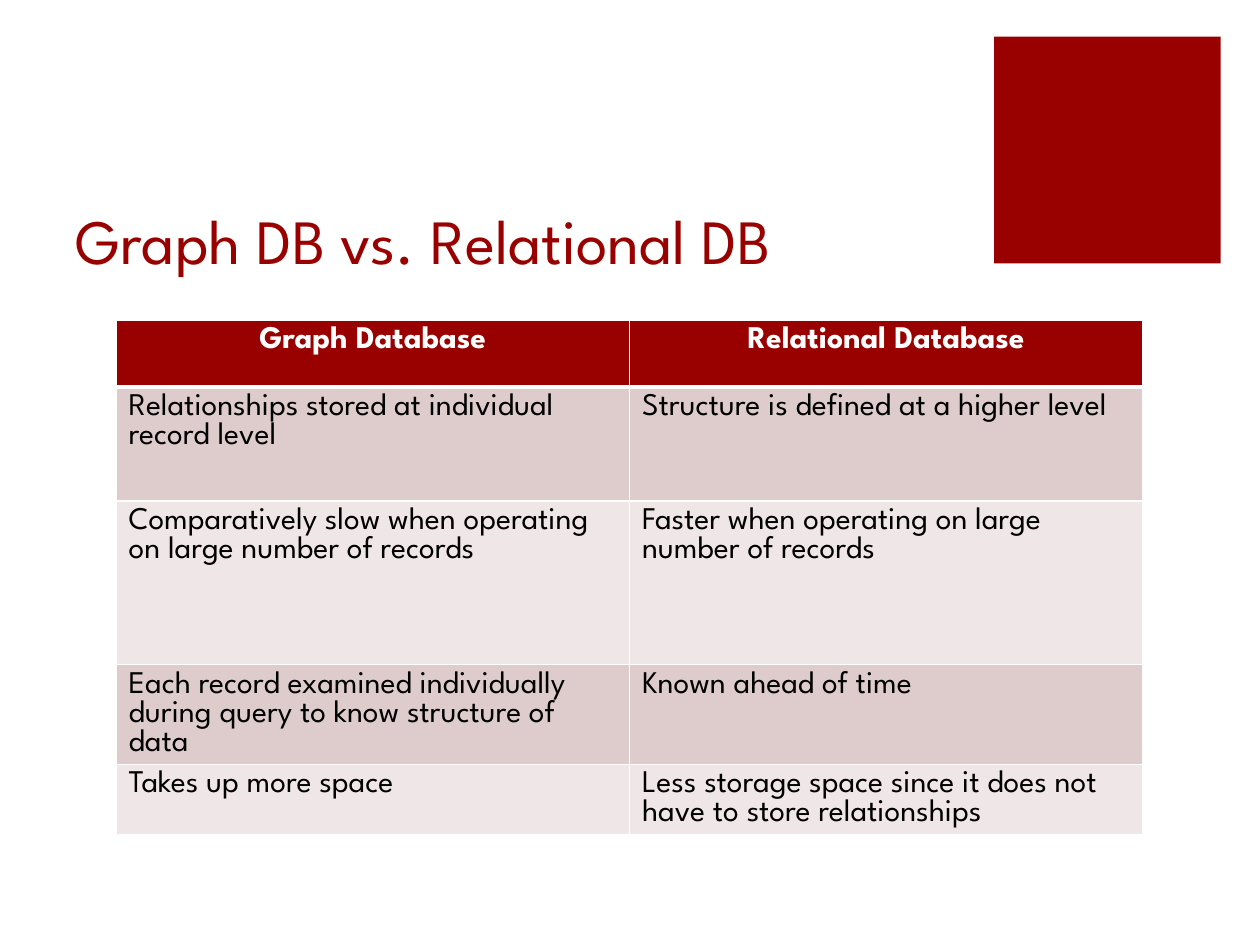
from lxml import etree
from pptx import Presentation
from pptx import util as u
from pptx.dml import color
from pptx.enum import shapes, text
from pptx.oxml import ns
from dataclasses import dataclass


@dataclass
class Theme:
    font: str = "League Spartan"
    red: str = "990000"
    white: str = "FFFFFF"
    black: str = "000000"
    bands: tuple = ("DECCCC", "EFE7E7")
    head: int = 36
    body: int = 18


def write(frame, words, size, tint, bold=False, align=text.PP_ALIGN.LEFT):
    para = frame.paragraphs[0]
    para.alignment = align
    run = para.add_run()
    run.text = words
    run.font.name = theme.font
    run.font.size = u.Pt(size)
    run.font.bold = bold
    run.font.color.rgb = color.RGBColor.from_string(tint)


def edge(cell, widths):
    props = cell._tc.get_or_add_tcPr()
    for spot, (side, width) in enumerate(widths.items()):
        line = etree.Element(ns.qn(f"a:ln{side}"), w=str(u.Pt(width)))
        fill = etree.SubElement(line, ns.qn("a:solidFill"))
        etree.SubElement(fill, ns.qn("a:srgbClr"), val=theme.white)
        props.insert(spot, line)


theme = Theme()
rows = [
    ("Graph Database", "Relational Database"),
    ("Relationships stored at individual record level",
     "Structure is defined at a higher level"),
    ("Comparatively slow when operating on large number of records",
     "Faster when operating on large number of records"),
    ("Each record examined individually during query to know structure of data",
     "Known ahead of time"),
    ("Takes up more space",
     "Less storage space since it does not have to store relationships"),
]
heights = [1.35, 2.3, 3.3, 2, 1.4]

deck = Presentation()
deck.slide_width, deck.slide_height = u.Cm(25.4), u.Cm(19.05)
slide = deck.slides.add_slide(deck.slide_layouts[5])

title = slide.shapes.title
title.left, title.top = u.Cm(1.27), u.Cm(2.54)
title.width, title.height = u.Cm(18.08), u.Cm(3.18)
frame = title.text_frame
frame.auto_size = text.MSO_AUTO_SIZE.NONE
frame.vertical_anchor = text.MSO_ANCHOR.BOTTOM
write(frame, "Graph DB vs. Relational DB", theme.head, theme.red)

square = slide.shapes.add_shape(
    shapes.MSO_SHAPE.RECTANGLE, u.Cm(20.04), u.Cm(0.74), u.Cm(4.57), u.Cm(4.57))
square.shadow.inherit = False
square.fill.solid()
square.fill.fore_color.rgb = color.RGBColor.from_string(theme.red)
square.line.fill.background()

grid = slide.shapes.add_table(
    len(rows), 2, u.Cm(2.34), u.Cm(6.45), u.Cm(20.7), u.Cm(sum(heights))).table
for r, (row, height) in enumerate(zip(rows, heights)):
    grid.rows[r].height = u.Cm(height)
    top = r == 0
    shade = theme.red if top else theme.bands[(r - 1) % 2]
    tint = theme.white if top else theme.black
    align = text.PP_ALIGN.CENTER if top else text.PP_ALIGN.LEFT
    for c, words in enumerate(row):
        cell = grid.cell(r, c)
        cell.fill.solid()
        cell.fill.fore_color.rgb = color.RGBColor.from_string(shade)
        edge(cell, {"L": 1, "R": 1, "T": 3 if r == 1 else 1, "B": 3 if top else 1})
        write(cell.text_frame, words, theme.body, tint, top, align)

deck.save("out.pptx")
